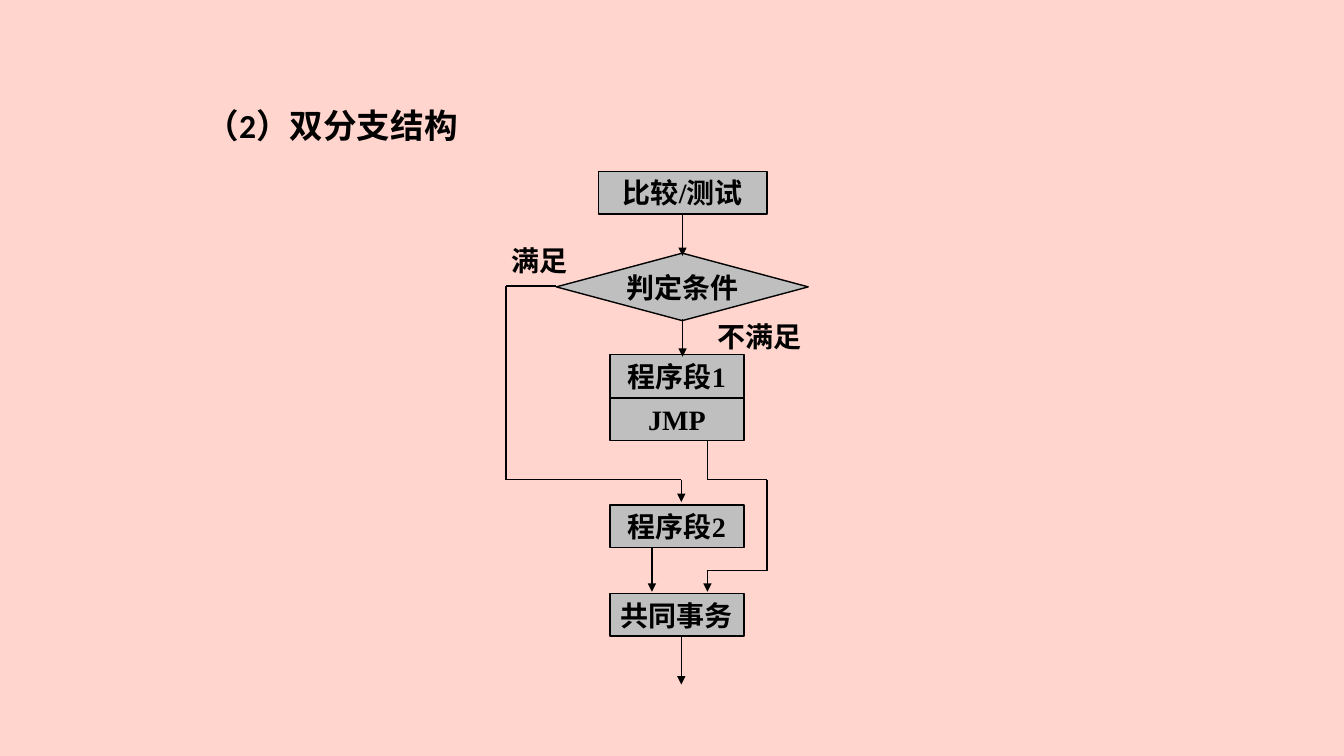
"""Build the flowchart slide of a two-branch program structure."""
from typing import NamedTuple

from lxml import etree
from pptx import Presentation
from pptx.dml.color import RGBColor
from pptx.enum import shapes, text
from pptx.oxml import ns
from pptx.util import Cm, Pt

PINK = RGBColor(0xFF, 0xD5, 0xCD)
GRAY = RGBColor(0xBF, 0xBF, 0xBF)
BLACK = RGBColor(0, 0, 0)
PROCESS = shapes.MSO_SHAPE.FLOWCHART_PROCESS
DECISION = shapes.MSO_SHAPE.FLOWCHART_DECISION
STEP_LEFT, STEP_WIDTH, STEP_HEIGHT = 15.37, 3.38, 1.07


class Step(NamedTuple):
    """A filled flowchart shape, in centimetres."""
    caption: str
    top: float
    left: float = STEP_LEFT
    width: float = STEP_WIDTH
    height: float = STEP_HEIGHT
    kind: shapes.MSO_SHAPE = PROCESS


class Label(NamedTuple):
    """A free text box, in centimetres."""
    caption: str
    left: float
    top: float
    width: float
    height: float = 1.04
    size: int = 20
    font: str = "Times New Roman"


class Route(NamedTuple):
    """A path of straight lines that ends in an arrowhead."""
    points: tuple[tuple[float, float], ...]


STEPS = (
    Step("比较/测试", 4.32, left=15.09, width=4.24),
    Step("判定条件", 6.38, left=14.02, width=6.35, height=1.7, kind=DECISION),
    Step("程序段1", 8.94),
    Step("JMP", 10.03),
    Step("程序段2", 12.73),
    Step("共同事务", 14.96),
)
LABELS = (
    Label("（2）双分支结构", 4.93, 2.51, 6.88, 1.22, size=24, font="Calibri"),
    Label("满足", 12.65, 6.02, 2.13),
    Label("不满足", 17.83, 7.92, 3.38),
)
ROUTES = (
    Route(((17.2, 5.38), (17.2, 6.45))),
    Route(((17.2, 8.05), (17.2, 8.99))),
    Route(((14.02, 7.21), (12.75, 7.21), (12.75, 12.09), (17.17, 12.09), (17.17, 12.65))),
    Route(((16.43, 13.82), (16.43, 14.91))),
    Route(((17.83, 11.1), (17.83, 12.09), (19.33, 12.09), (19.33, 14.38),
           (17.83, 14.38), (17.83, 14.91))),
    Route(((17.17, 16.05), (17.17, 17.25))),
)


def write_text(shape, caption: str, *, size: int = 20, font: str = "Times New Roman",
               align=text.PP_ALIGN.LEFT, anchor=text.MSO_ANCHOR.TOP, wrap: bool = True) -> None:
    """Put one bold black paragraph into a shape."""
    frame = shape.text_frame
    frame.word_wrap = wrap
    frame.vertical_anchor = anchor
    paragraph = frame.paragraphs[0]
    paragraph.alignment = align
    run = paragraph.add_run()
    run.text = caption
    run.font.name = font
    run.font.size = Pt(size)
    run.font.bold = True
    run.font.color.rgb = BLACK


def draw_step(slide, step: Step) -> None:
    """Draw one flowchart shape with centred text."""
    shape = slide.shapes.add_shape(step.kind, Cm(step.left), Cm(step.top),
                                   Cm(step.width), Cm(step.height))
    shape.shadow.inherit = False
    shape.fill.solid()
    shape.fill.fore_color.rgb = GRAY
    shape.line.color.rgb = BLACK
    shape.line.width = Pt(1)
    write_text(shape, step.caption, align=text.PP_ALIGN.CENTER,
               anchor=text.MSO_ANCHOR.MIDDLE, wrap=False)


def draw_label(slide, label: Label) -> None:
    """Draw one text box."""
    box = slide.shapes.add_textbox(Cm(label.left), Cm(label.top),
                                   Cm(label.width), Cm(label.height))
    write_text(box, label.caption, size=label.size, font=label.font)


def draw_route(slide, route: Route) -> None:
    """Draw the lines of a route, with an arrowhead on the last."""
    for start, end in zip(route.points, route.points[1:]):
        connector = slide.shapes.add_connector(
            shapes.MSO_CONNECTOR.STRAIGHT, *map(Cm, start + end))
        connector.line.color.rgb = BLACK
        connector.line.width = Pt(1)
        properties = connector._element.spPr
        etree.SubElement(properties, ns.qn("a:effectLst"))
    tail = etree.SubElement(properties.find(ns.qn("a:ln")), ns.qn("a:tailEnd"))
    tail.set("type", "triangle")


def main() -> None:
    """Create the presentation and save it."""
    presentation = Presentation()
    presentation.slide_width = Cm(33.87)
    presentation.slide_height = Cm(19.05)
    slide = presentation.slides.add_slide(presentation.slide_layouts[6])
    slide.background.fill.solid()
    slide.background.fill.fore_color.rgb = PINK
    for step in STEPS:
        draw_step(slide, step)
    for route in ROUTES:
        draw_route(slide, route)
    for label in LABELS:
        draw_label(slide, label)
    presentation.save("out.pptx")


if __name__ == "__main__":
    main()
